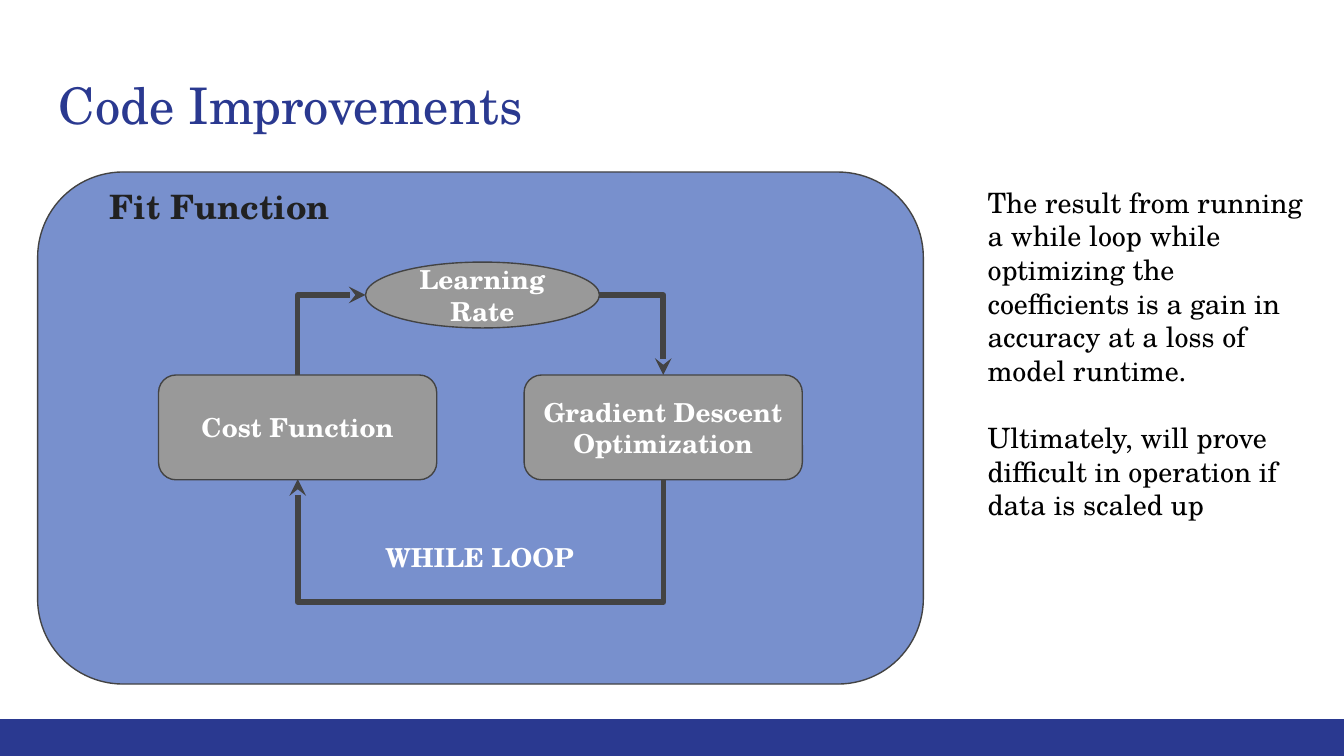
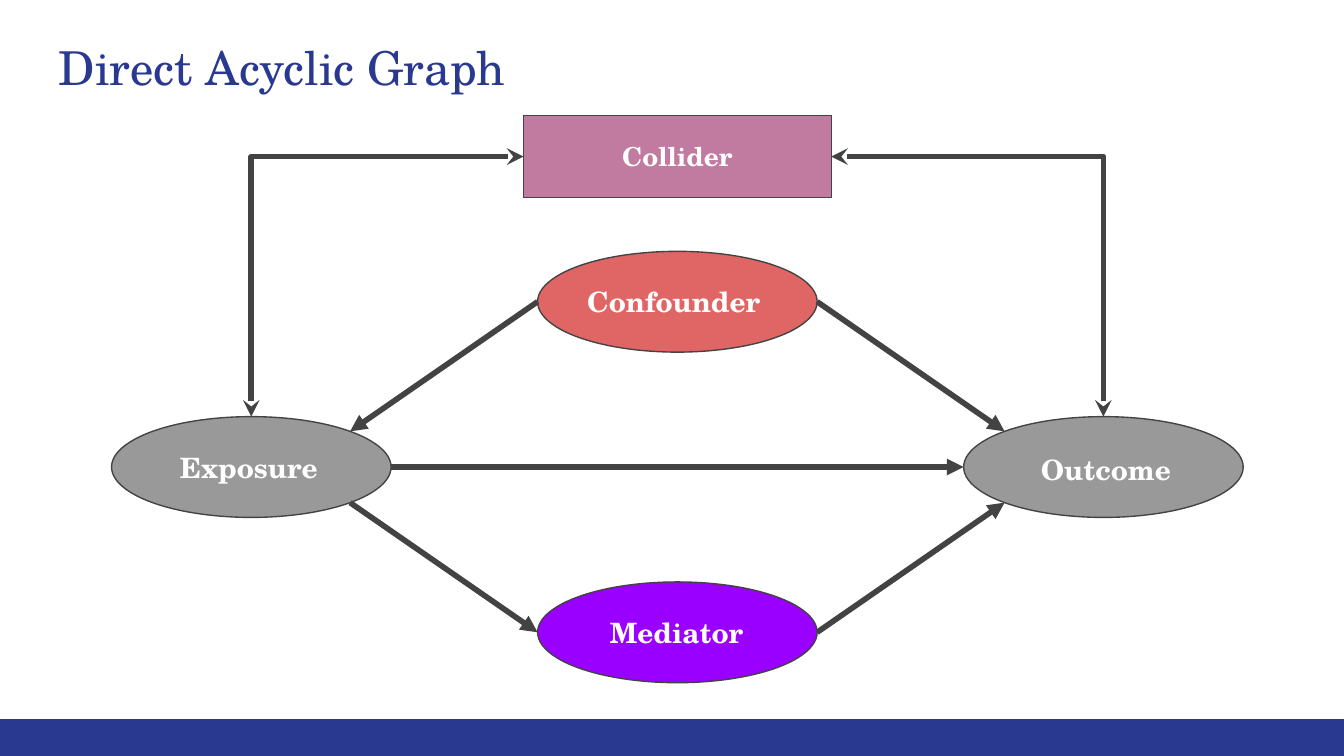
from math import sqrt

from pptx import Presentation
from pptx.dml.color import RGBColor
from pptx.enum.shapes import MSO_CONNECTOR as Connector, MSO_SHAPE as Shape
from pptx.enum.text import MSO_ANCHOR as Anchor, PP_ALIGN as Align
from pptx.oxml.ns import qn
from pptx.util import Inches, Pt
from lxml.etree import SubElement

COLORS = {
    "navy": "2A3990",
    "panel": "7890CD",
    "gray": "999999",
    "outline": "434343",
    "heading": "212121",
    "black": "000000",
    "white": "FFFFFF",
    "red": "E06666",
    "violet": "9900FF",
    "mauve": "C27BA0",
}
FONT = "TeX Gyre Schola"
SLIDE_WIDTH = 10
SLIDE_HEIGHT = SLIDE_WIDTH * 9 / 16
BAND_TOP = 5.35


def color(name):
    return RGBColor.from_string(COLORS[name])


def write_text(shape, paragraphs, size, color_name, bold=False, align=Align.LEFT,
               anchor=Anchor.TOP, gap=0):
    frame = shape.text_frame
    frame.word_wrap = True
    frame.vertical_anchor = anchor
    frame.margin_left = frame.margin_right = Inches(0.1)
    frame.margin_top = frame.margin_bottom = Inches(0.1)
    for index, text in enumerate(paragraphs):
        paragraph = frame.add_paragraph() if index else frame.paragraphs[0]
        paragraph.text = text
        paragraph.alignment = align
        if index:
            paragraph.space_before = Pt(gap)
        paragraph.font.name = FONT
        paragraph.font.size = Pt(size)
        paragraph.font.bold = bold
        paragraph.font.color.rgb = color(color_name)


def add_label(slide, box, paragraphs, size, color_name, **style):
    label = slide.shapes.add_textbox(*map(Inches, box))
    write_text(label, paragraphs, size, color_name, **style)


def add_node(slide, kind, box, fill, text=None, outlined=True):
    node = slide.shapes.add_shape(kind, *map(Inches, box))
    node.shadow.inherit = False
    node.fill.solid()
    node.fill.fore_color.rgb = color(fill)
    if outlined:
        node.line.color.rgb = color("outline")
        node.line.width = Pt(0.75)
    else:
        node.line.fill.background()
    if text:
        write_text(node, [text], 14, "white", bold=True, align=Align.CENTER,
                   anchor=Anchor.MIDDLE)


def add_arrow(slide, start, end, head=None, tail=None, kind=Connector.STRAIGHT):
    arrow = slide.shapes.add_connector(kind, *map(Inches, (*start, *end)))
    arrow.line.color.rgb = color("outline")
    arrow.line.width = Pt(3)
    properties = arrow._element.spPr
    line = properties.find(qn("a:ln"))
    for tag, style in (("a:headEnd", head), ("a:tailEnd", tail)):
        if style:
            SubElement(line, qn(tag), type=style)
    SubElement(properties, qn("a:effectLst"))
    return properties


def add_corner_arrow(slide, start, end, head=None, tail=None):
    properties = add_arrow(slide, start, end, head, tail, Connector.ELBOW)
    properties.find(qn("a:prstGeom")).set("prst", "bentConnector2")


def add_return_arrow(slide, left, right, top, depth):
    thickness = 0.01
    middle = (left + right) / 2
    half = (right - left) / 2
    properties = add_arrow(slide, (middle + thickness / 2, top - half),
                           (middle - thickness / 2, top + half),
                           head="stealth", kind=Connector.ELBOW)
    properties.find(qn("a:xfrm")).set("rot", str(270 * 60000))
    adjustments = properties.find(qn("a:prstGeom")).find(qn("a:avLst"))
    SubElement(adjustments, qn("a:gd"), name="adj1",
               fmla=f"val {round(depth / thickness * 100000)}")


def add_base_slide(presentation, title, title_top, title_size):
    slide = presentation.slides.add_slide(presentation.slide_layouts[6])
    band = (0, BAND_TOP, SLIDE_WIDTH, SLIDE_HEIGHT - BAND_TOP)
    add_node(slide, Shape.RECTANGLE, band, "navy", outlined=False)
    add_label(slide, (0.34, title_top, 9.32, 0.66), [title], title_size, "navy")
    return slide


def draw_fit_panel(slide, box):
    left, top, width, height = box
    add_node(slide, Shape.ROUNDED_RECTANGLE, box, "panel")
    step_width, step_height = 2.07, 0.78
    step_top = top + 1.51
    step_bottom = step_top + step_height
    centers = []
    for offset, text in ((0.9, "Cost Function"), (3.62, "Gradient Descent Optimization")):
        add_node(slide, Shape.ROUNDED_RECTANGLE,
                 (left + offset, step_top, step_width, step_height), "gray", text)
        centers.append(left + offset + step_width / 2)
    cost, descent = centers

    rate_left, rate_top, rate_width, rate_height = left + 2.44, top + 0.67, 1.74, 0.49
    rate_middle = rate_top + rate_height / 2
    add_node(slide, Shape.OVAL, (rate_left, rate_top, rate_width, rate_height),
             "gray", "Learning Rate")
    add_label(slide, (left + 1.65, top + 2.65, 3.28, 0.44), ["WHILE LOOP"], 14, "white",
              bold=True, align=Align.CENTER)
    add_label(slide, (left, top, 2.71, 0.5), ["Fit Function"], 18, "heading",
              bold=True, align=Align.CENTER)

    add_return_arrow(slide, cost, descent, step_bottom, 0.93)
    add_corner_arrow(slide, (rate_left, rate_middle), (cost, step_top), head="stealth")
    add_corner_arrow(slide, (rate_left + rate_width, rate_middle), (descent, step_top),
                     tail="stealth")


def draw_causal_graph(slide, box):
    left, top, width, height = box
    node_width, node_height = 2.08, 0.75
    half_width, half_height = node_width / 2, node_height / 2
    center = left + width / 2
    exposure = left + half_width
    outcome = left + width - half_width
    confounder_y = top + 1.01 + half_height
    mediator_y = top + height - half_height
    side_y = (confounder_y + mediator_y) / 2

    nodes = (
        ("Exposure", exposure, side_y, "gray", 0.41, 0.15, 1.27, Align.LEFT),
        ("Confounder", center, confounder_y, "red", 0.27, 0.15, 1.56, Align.LEFT),
        ("Outcome", outcome, side_y, "gray", 0.06, 0.17, 2, Align.CENTER),
        ("Mediator", center, mediator_y, "violet", 0.44, 0.15, 1.2, Align.LEFT),
    )
    for text, x, y, fill, shift_x, shift_y, label_width, align in nodes:
        node_left, node_top = x - half_width, y - half_height
        add_node(slide, Shape.OVAL, (node_left, node_top, node_width, node_height), fill)
        add_label(slide, (node_left + shift_x, node_top + shift_y, label_width, 0.45),
                  [text], 15, "white", bold=True, align=align)

    collider_width, collider_height = 2.29, 0.61
    add_node(slide, Shape.RECTANGLE,
             (center - collider_width / 2, top, collider_width, collider_height),
             "mauve", "Collider")

    add_arrow(slide, (exposure + half_width, side_y), (outcome - half_width, side_y),
              tail="triangle")
    diagonal_x, diagonal_y = half_width / sqrt(2), half_height / sqrt(2)
    for side, x in ((-1, exposure), (1, outcome)):
        inner_x = x - side * diagonal_x
        node_edge = center + side * half_width
        add_arrow(slide, (node_edge, confounder_y), (inner_x, side_y - diagonal_y),
                  tail="triangle")
        mediator_ends = [(inner_x, side_y + diagonal_y), (node_edge, mediator_y)]
        add_arrow(slide, *mediator_ends[::-side], tail="triangle")
        add_corner_arrow(slide,
                         (center + side * collider_width / 2, top + collider_height / 2),
                         (x, side_y - half_height), head="stealth", tail="stealth")


def build_improvements_slide(presentation):
    slide = add_base_slide(presentation, "Code Improvements", 0.45, 27)
    draw_fit_panel(slide, (0.28, 1.28, 6.59, 3.81))
    add_label(slide, (7.25, 1.28, 2.61, 2.73), [
        "The result from running a while loop while optimizing the coefficients "
        "is a gain in accuracy at a loss of model runtime.",
        "Ultimately, will prove difficult in operation if data is scaled up",
    ], 15, "black", gap=18)


def build_graph_slide(presentation):
    slide = add_base_slide(presentation, "Direct Acyclic Graph", 0.19, 25)
    draw_causal_graph(slide, (0.83, 0.86, 8.42, 4.22))


def main():
    presentation = Presentation()
    presentation.slide_width = Inches(SLIDE_WIDTH)
    presentation.slide_height = Inches(SLIDE_HEIGHT)
    build_improvements_slide(presentation)
    build_graph_slide(presentation)
    presentation.save("out.pptx")


if __name__ == "__main__":
    main()
